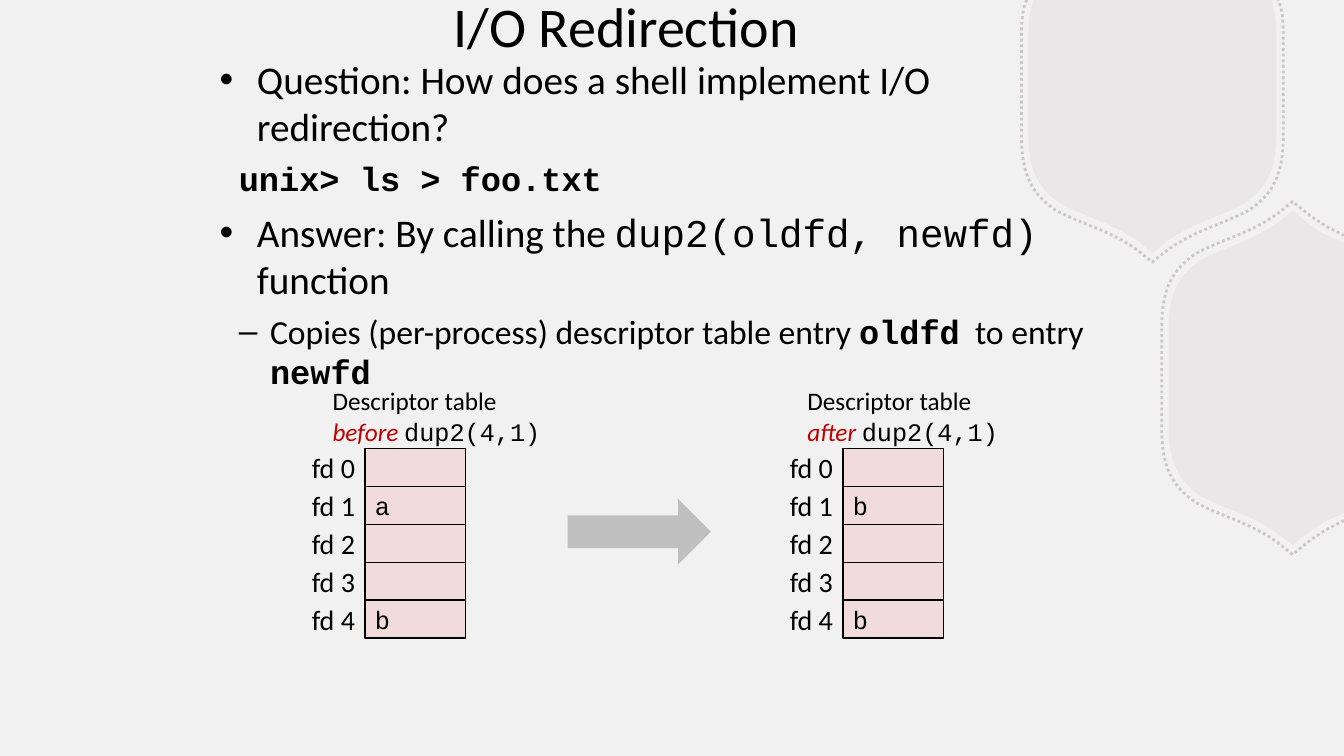
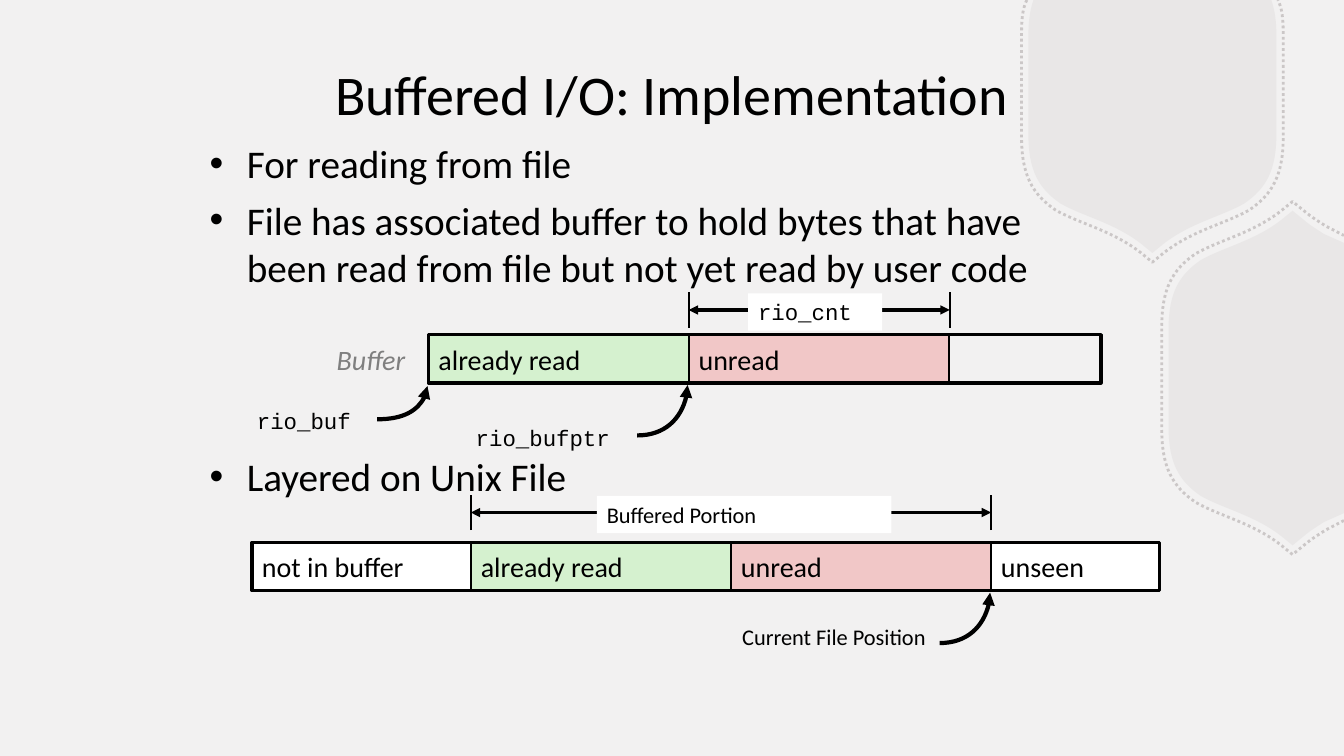
import dataclasses
import typing

import lxml.etree
import pptx
import pptx.dml.color
import pptx.enum.dml
import pptx.enum.shapes
import pptx.enum.text
import pptx.oxml.ns
import pptx.util

ALIGN = pptx.enum.text.PP_ALIGN
ANCHOR = pptx.enum.text.MSO_ANCHOR
SHAPE = pptx.enum.shapes.MSO_SHAPE


@dataclasses.dataclass(frozen=True)
class Theme:
    width: float = 13.33
    height: float = 7.5
    sans: str = "Calibri"
    mono: str = "Courier New"
    title: int = 40
    body: int = 28
    detail: int = 24
    segment: int = 20
    caption: int = 18
    label: int = 16
    background: str = "F2F1F1"
    hexagon: str = "B8B2B2"
    ink: str = "000000"
    white: str = "FFFFFF"
    accent: str = "C00000"
    muted: str = "7F7F7F"
    arrow: str = "BFBFBF"
    cell: str = "F2DCDB"
    read: str = "D5F1CF"
    unread: str = "F1C7C7"


THEME = Theme()
MONO = {"name": THEME.mono}
MONO_BOLD = {"name": THEME.mono, "bold": True}
BULLET = {"char": "•", "margin": 0.37, "hang": 0.37, "before": 7, "size": THEME.body}
DASH = {"char": "–", "margin": 0.5, "hang": 0.31, "before": 6, "size": THEME.detail}
COMMAND = {**DASH, "char": None}

# A hexagon's quarter from its lower tip to its right side, about its center.
# Steps of 1 point are lines, steps of 3 points are cubic curves.
QUARTER = [(0, 1.66), (0.11, 1.57), (0.38, 1.36), (0.68, 1.3), (0.91, 1.17),
           (1.13, 1.02), (1.23, 0.84), (1.23, 0.48)]
QUARTER_STEPS = [1, 3, 3]


class Box(typing.NamedTuple):
    left: float
    top: float
    width: float
    height: float

    def lengths(self):
        return [pptx.util.Inches(value) for value in self]


def rgb(color):
    return pptx.dml.color.RGBColor.from_string(color)


def add_element(parent, tag, **values):
    return lxml.etree.SubElement(parent, pptx.oxml.ns.qn(tag), values)


def set_alpha(shape, percent):
    for color in shape.element.spPr.iter(pptx.oxml.ns.qn("a:srgbClr")):
        add_element(color, "a:alpha", val=str(percent * 1000))


def paint(shape, fill=None, line=None, weight=1):
    shape.shadow.inherit = False
    if fill:
        shape.fill.solid()
        shape.fill.fore_color.rgb = rgb(fill)
    else:
        shape.fill.background()
    if line:
        shape.line.color.rgb = rgb(line)
        shape.line.width = pptx.util.Pt(weight)
    else:
        shape.line.fill.background()


def add_arrowheads(line, *ends):
    for end in ends:
        add_element(line.line._get_or_add_ln(), end, type="triangle")


def write_spans(para, spans, size, color=THEME.ink):
    """Spans are plain strings or (text, font formats) pairs."""
    for item in spans:
        text, formats = (item, {}) if isinstance(item, str) else item
        span = para.add_run()
        span.text = text
        values = {"name": THEME.sans, "size": pptx.util.Pt(size), "color": color, **formats}
        span.font.color.rgb = rgb(values.pop("color"))
        for name, value in values.items():
            setattr(span.font, name, value)


def write_text(shape, paras, size, align=ALIGN.LEFT, anchor=ANCHOR.MIDDLE):
    frame = shape.text_frame
    frame.word_wrap = True
    frame.vertical_anchor = anchor
    for index, spans in enumerate(paras):
        para = frame.add_paragraph() if index else frame.paragraphs[0]
        para.alignment = align
        write_spans(para, spans, size)


def add_text(page, box, paras, size, **layout):
    shape = page.shapes.add_textbox(*box.lengths())
    write_text(shape, paras, size, **layout)


def add_panel(page, box, spans=(), size=THEME.segment, anchor=ANCHOR.MIDDLE, **look):
    shape = page.shapes.add_shape(SHAPE.RECTANGLE, *box.lengths())
    paint(shape, **look)
    if spans:
        write_text(shape, [spans], size, anchor=anchor)


def add_outline(page, points, steps, close=False):
    """Draw a freeform whose steps take 1 point for a line, 3 for a cubic curve."""
    start, *rest = [tuple(pptx.util.Inches(value) for value in point) for point in points]
    builder = page.shapes.build_freeform(*start)
    builder.add_line_segments(rest, close=close)
    shape = builder.convert_to_shape()
    segments = iter(list(shape.element.iter(pptx.oxml.ns.qn("a:lnTo"))))
    for step in steps:
        segment = next(segments)
        if step == 3:
            segment.tag = pptx.oxml.ns.qn("a:cubicBezTo")
            for extra in (next(segments), next(segments)):
                segment.append(extra[0])
                extra.getparent().remove(extra)
    return shape


def add_line(page, start, end, weight):
    lengths = [pptx.util.Inches(value) for value in (*start, *end)]
    line = page.shapes.add_connector(pptx.enum.shapes.MSO_CONNECTOR.STRAIGHT, *lengths)
    line.line.color.rgb = rgb(THEME.ink)
    line.line.width = pptx.util.Pt(weight)
    add_element(line.element.spPr, "a:effectLst")
    return line


def upper_hexagon():
    """Outline open at the slide's top edge, mirrored left to right."""
    half = QUARTER + [(1.23, -0.49), (1.23, -0.62), (1.22, -0.73), (1.18, -0.85)]
    steps = QUARTER_STEPS + [1, 3]
    return [(-x, y) for x, y in reversed(half)] + half[1:], steps[::-1] + steps


def lower_hexagon():
    """Outline open at the slide's right edge, mirrored top to bottom."""
    edge = [(0.51, 1.34), (0.31, 1.43), (0.25, 1.47), (0.18, 1.51), (0.11, 1.57)]
    half = edge + [(-x, y) for x, y in QUARTER]
    steps = [1, 3, 1] + QUARTER_STEPS
    return half + [(x, -y) for x, y in reversed(half)], steps + [1] + steps[::-1]


def add_hexagon(page, center, outline):
    """A pale hexagon in a dotted ring."""
    points, steps = outline

    def placed(scale):
        return [(min(center[0] + scale * x, THEME.width), max(center[1] + scale * y, 0))
                for x, y in points]

    body = add_outline(page, placed(1), steps, close=True)
    paint(body, fill=THEME.hexagon)
    set_alpha(body, 15)
    ring = add_outline(page, placed(1.055), steps)
    paint(ring, line=THEME.hexagon, weight=2)
    ring.line.dash_style = pptx.enum.dml.MSO_LINE.ROUND_DOT
    set_alpha(ring, 65)


def add_page(deck, title, title_box):
    page = deck.slides.add_slide(deck.slide_layouts[6])
    add_hexagon(page, (11.43, 0.85), upper_hexagon())
    add_hexagon(page, (12.82, 3.75), lower_hexagon())
    add_text(page, title_box, [[title]], THEME.title, align=ALIGN.CENTER)
    return page


def add_body(page, box, items):
    """Items are (paragraph style, spans) pairs."""
    shape = page.shapes.add_textbox(*box.lengths())
    frame = shape.text_frame
    frame.word_wrap = True
    for index, (style, spans) in enumerate(items):
        para = frame.add_paragraph() if index else frame.paragraphs[0]
        para.space_before = pptx.util.Pt(style["before"])
        props = para._p.get_or_add_pPr()
        props.set("marL", str(pptx.util.Inches(style["margin"])))
        props.set("indent", str(pptx.util.Inches(-style["hang"])))
        if style["char"]:
            add_element(props, "a:buFont", typeface="Arial")
            add_element(props, "a:buChar", char=style["char"])
        else:
            add_element(props, "a:buNone")
        write_spans(para, spans, style["size"])


def add_descriptor_table(page, box, moment, caption_left, entries):
    """A column of cells with fd labels to the left and a caption above."""
    row_height = box.height / len(entries)
    for index, entry in enumerate(entries):
        cell = Box(box.left, box.top + index * row_height, box.width, row_height)
        add_panel(page, cell, [(entry, MONO)] if entry else (), THEME.caption,
                  fill=THEME.cell, line=THEME.ink)
        add_text(page, cell._replace(left=box.left - 1, width=1), [[f"fd {index}"]],
                 THEME.segment, align=ALIGN.RIGHT)
    when = (moment + " ", {"color": THEME.accent, "italic": True})
    add_text(page, Box(caption_left, box.top - 0.68, 2.3, 0.71),
             [["Descriptor table"], [when, ("dup2(4,1)", MONO)]], THEME.caption)


def add_buffer_strip(page, box, segments):
    """Segments are (text, fill, width), laid from the left inside a heavy frame."""
    left = box.left
    for text, fill, width in segments:
        add_panel(page, box._replace(left=left, width=width), [text],
                  fill=fill, line=THEME.ink, weight=1.5)
        left += width
    add_panel(page, box, line=THEME.ink, weight=2.25)


def add_extent(page, box, label, label_left, label_width):
    """A dimension line between two ticks, with a label on it."""
    right, bottom = box.left + box.width, box.top + box.height
    for x in (box.left, right):
        add_line(page, (x, bottom), (x, box.top), 1.5)
    middle = box.top + box.height / 2
    arrow = add_line(page, (box.left, middle), (right, middle), 2.25)
    add_arrowheads(arrow, "a:headEnd", "a:tailEnd")
    add_panel(page, Box(label_left, box.top + 0.01, label_width, 0.37), [label],
              THEME.label, ANCHOR.TOP, fill=THEME.white)


def add_pointer(page, box, label, label_box, align=ALIGN.LEFT):
    """A label and a quarter arc from the box's lower left to its upper right."""
    right, bottom = box.left + box.width, box.top + box.height
    points = [(box.left, bottom), (box.left + 0.55 * box.width, bottom),
              (right, box.top + 0.55 * box.height), (right, box.top)]
    arc = add_outline(page, points, [3])
    paint(arc, line=THEME.ink, weight=3)
    add_arrowheads(arc, "a:tailEnd")
    add_text(page, label_box, [[label]], THEME.label, align=align, anchor=ANCHOR.TOP)


def build_redirection(deck):
    page = add_page(deck, "I/O Redirection", Box(2.06, -0.17, 8.3, 0.83))
    add_body(page, Box(2.08, 0.5, 9.08, 3.43), [
        (BULLET, ["Question: How does a shell implement I/O redirection?"]),
        (COMMAND, [("unix> ls > foo.txt", MONO_BOLD)]),
        (BULLET, ["Answer: By calling the ", ("dup2(oldfd, newfd)", MONO), " function"]),
        (DASH, ["Copies (per-process) descriptor table entry ", ("oldfd", MONO_BOLD),
                "  to entry ", ("newfd", MONO_BOLD)]),
    ])
    tables = ((3.62, "before", 3.2, ["", "a", "", "", "b"]),
              (8.36, "after", 7.91, ["", "b", "", "", "b"]))
    for left, moment, caption_left, entries in tables:
        add_descriptor_table(page, Box(left, 4.45, 1, 1.88), moment, caption_left, entries)
    arrow = page.shapes.add_shape(SHAPE.RIGHT_ARROW, *Box(5.63, 4.95, 1.42, 0.65).lengths())
    paint(arrow, fill=THEME.arrow)


def build_buffering(deck):
    page = add_page(deck, "Buffered I/O: Implementation", Box(2.16, 0.3, 9, 1.25))
    add_body(page, Box(1.98, 1.33, 9.09, 4.33), [
        (BULLET, ["For reading from file"]),
        (BULLET, ["File has associated buffer to hold bytes that have been read from file "
                  "but not yet read by user code"]),
        ({**BULLET, "before": 116}, ["Layered on Unix File"]),
    ])
    held = [("already read", THEME.read, 2.58), ("unread", THEME.unread, 2.58)]

    add_buffer_strip(page, Box(4.25, 3.32, 6.67, 0.48), held)
    add_text(page, Box(3.24, 3.34, 0.95, 0.44),
             [[("Buffer", {"color": THEME.muted, "italic": True})]], THEME.segment)
    add_extent(page, Box(6.83, 2.9, 2.59, 0.35), ("rio_cnt", MONO), 7.42, 1.33)
    add_pointer(page, Box(3.74, 3.83, 0.5, 0.33), ("rio_buf", MONO), Box(2.45, 3.99, 1.14, 0.37))
    add_pointer(page, Box(6.32, 3.82, 0.5, 0.5), ("rio_bufptr", MONO),
                Box(4.62, 4.16, 1.75, 0.37))

    add_buffer_strip(page, Box(2.5, 5.38, 9, 0.48), [
        ("not in buffer", THEME.white, 2.17), *held, ("unseen", THEME.white, 1.67)])
    add_extent(page, Box(4.67, 4.91, 5.16, 0.35), "Buffered Portion", 5.92, 2.92)
    add_pointer(page, Box(9.32, 5.88, 0.5, 0.5), "Current File Position",
                Box(6.45, 6.13, 2.83, 0.37), ALIGN.RIGHT)


def main():
    deck = pptx.Presentation()
    deck.slide_width = pptx.util.Inches(THEME.width)
    deck.slide_height = pptx.util.Inches(THEME.height)
    backdrop = deck.slide_master.background.fill
    backdrop.solid()
    backdrop.fore_color.rgb = rgb(THEME.background)
    build_redirection(deck)
    build_buffering(deck)
    deck.save("out.pptx")


if __name__ == "__main__":
    main()
